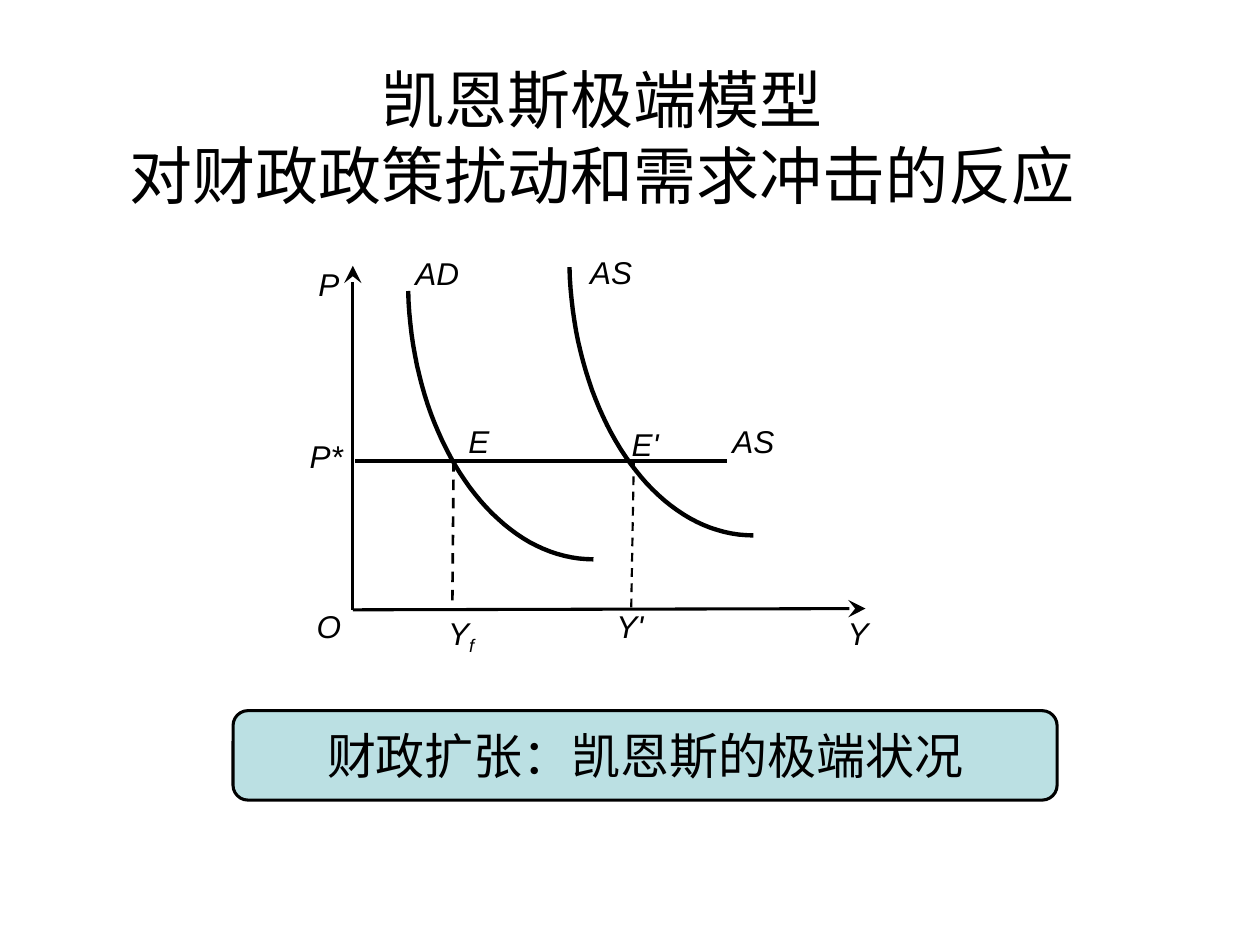
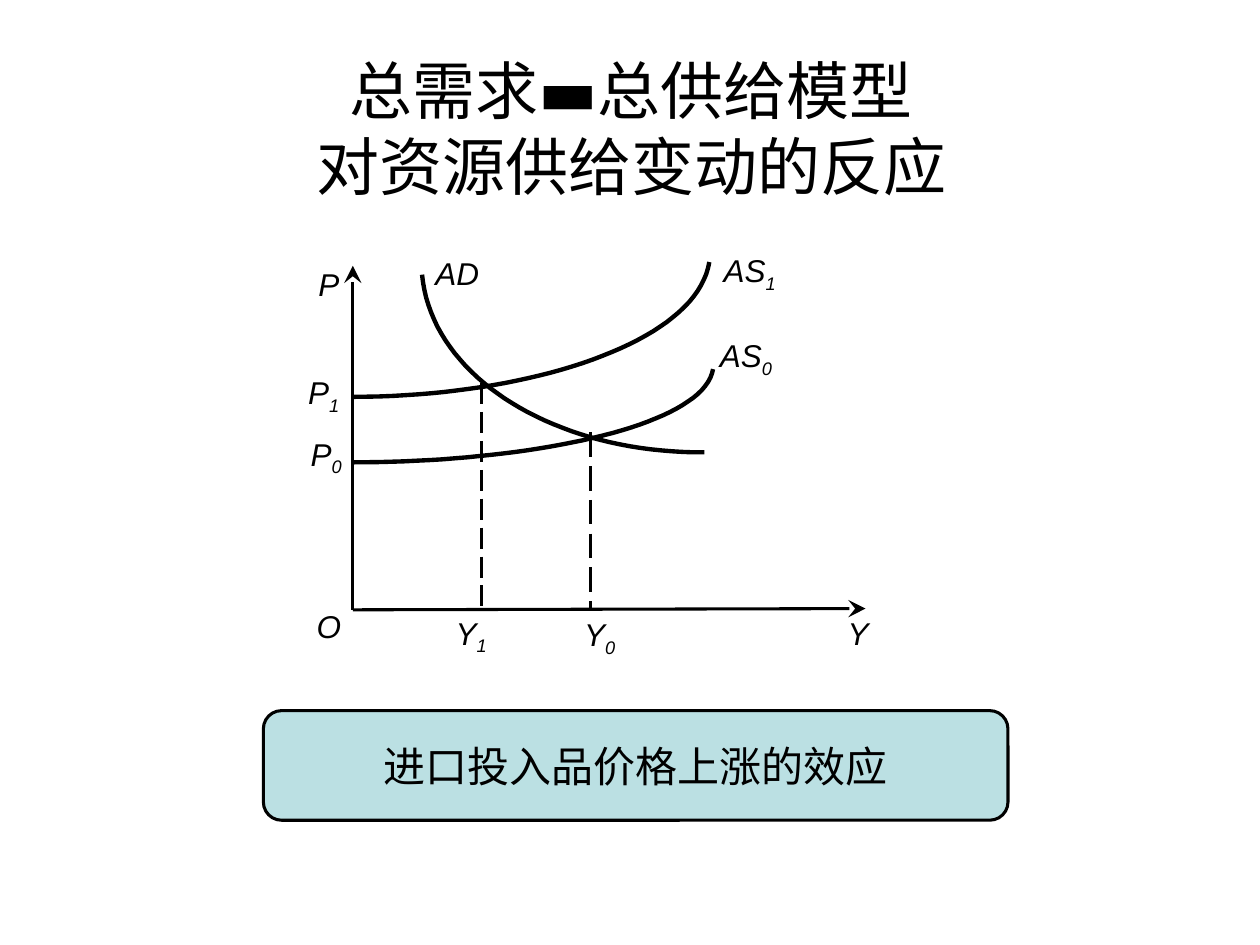
from lxml import etree
from pptx import Presentation
from pptx.dml.color import RGBColor
from pptx.enum.dml import MSO_LINE
from pptx.enum.shapes import MSO_CONNECTOR, MSO_SHAPE
from pptx.enum.text import MSO_ANCHOR, PP_ALIGN
from pptx.oxml.ns import qn
from pptx.util import Inches, Pt

STRAIGHT = MSO_CONNECTOR.STRAIGHT
ROUNDED = MSO_SHAPE.ROUNDED_RECTANGLE
DASH = MSO_LINE.DASH
LONG_DASH = MSO_LINE.LONG_DASH
CENTER = PP_ALIGN.CENTER
MIDDLE = MSO_ANCHOR.MIDDLE

FONT = "Arial"
BLACK = "000000"
CAPTION_FILL = "BBE0E3"
AXIS_WIDTH = 1.75
CURVE_WIDTH = 2.5
CURVE_STEPS = 40
UNITS_PER_INCH = 1000
ORIGIN = (2.8, 4.84)
LABEL_SIZE = (0.42, 0.38)
TITLE_SIZE = (9, 1.3)


def color(hex_value):
    return RGBColor.from_string(hex_value)


def add_span(para, text, size, italic=False, subscript=False):
    span = para.add_run()
    span.text = text
    span.font.name = FONT
    span.font.size = Pt(size)
    span.font.italic = italic
    span.font.color.rgb = color(BLACK)
    if subscript:
        span.font._element.set("baseline", "-25000")


def write_text(box, text, size=18, italic=False, subscript="", wrap=True):
    frame = box.text_frame
    frame.word_wrap = wrap
    frame.vertical_anchor = MIDDLE
    para = frame.paragraphs[0]
    para.alignment = CENTER
    for number, line in enumerate(text.split("\n")):
        if number:
            para.add_line_break()
        add_span(para, line, size, italic)
    if subscript:
        add_span(para, subscript, size, italic, subscript=True)


def style_line(shape, width):
    shape.line.color.rgb = color(BLACK)
    shape.line.width = Pt(width)


def add_title(slide, text, left, top):
    width, height = TITLE_SIZE
    box = slide.shapes.add_textbox(Inches(left), Inches(top), Inches(width), Inches(height))
    write_text(box, text, size=36)


def add_rounded_box(shapes, left, top, width, height):
    box = shapes.add_shape(ROUNDED, Inches(left), Inches(top), Inches(width), Inches(height))
    box.shadow.inherit = False
    return box


def add_caption(slide, text, left, width, height, size):
    box = add_rounded_box(slide.shapes, left, 5.64, width, height)
    box.fill.solid()
    box.fill.fore_color.rgb = color(CAPTION_FILL)
    style_line(box, AXIS_WIDTH)
    write_text(box, text, size=size, wrap=False)


def add_label(graph, center_x, center_y, text, subscript=""):
    width, height = LABEL_SIZE
    box = add_rounded_box(graph, center_x - width / 2, center_y - height / 2, width, height)
    box.fill.background()
    box.line.fill.background()
    write_text(box, text, italic=True, subscript=subscript, wrap=False)


def add_line(graph, start, end, width, dash=None, arrow=False):
    line = graph.add_connector(STRAIGHT, *[Inches(value) for value in (*start, *end)])
    style_line(line, width)
    if dash:
        line.line.dash_style = dash
    if arrow:
        outline = line.line._get_or_add_ln()
        etree.SubElement(outline, qn("a:tailEnd"), type="stealth", w="lg", len="lg")
    etree.SubElement(line._element.spPr, qn("a:effectLst"))


def bezier_point(controls, t):
    weights = ((1 - t) ** 3, 3 * t * (1 - t) ** 2, 3 * t**2 * (1 - t), t**3)
    return tuple(
        UNITS_PER_INCH * sum(weight * point[axis] for weight, point in zip(weights, controls))
        for axis in (0, 1)
    )


def add_curve(graph, *controls):
    points = [bezier_point(controls, step / CURVE_STEPS) for step in range(CURVE_STEPS + 1)]
    builder = graph.build_freeform(*points[0], scale=Inches(1) / UNITS_PER_INCH)
    builder.add_line_segments(points[1:], close=False)
    curve = builder.convert_to_shape()
    curve.shadow.inherit = False
    curve.fill.background()
    style_line(curve, CURVE_WIDTH)


def add_graph(slide):
    graph = slide.shapes.add_group_shape().shapes
    for tip in ((6.87, 4.83), (2.8, 2.11)):
        add_line(graph, ORIGIN, tip, AXIS_WIDTH, arrow=True)
    add_label(graph, 2.61, 4.97, "O")
    add_label(graph, 2.61, 2.25, "P")
    add_label(graph, 6.81, 5.02, "Y")
    return graph


def add_labels(graph, labels):
    for label in labels:
        add_label(graph, *label)


def build_fiscal_slide(slide):
    add_title(slide, "凯恩斯极端模型\n对财政政策扰动和需求冲击的反应", 0.28, 0.43)
    graph = add_graph(slide)
    add_line(graph, (5.03, 3.66), (5.01, 4.83), 1.25, dash=DASH)
    add_line(graph, (3.6, 3.66), (3.59, 4.84), 1.5, dash=DASH)
    add_line(graph, (2.82, 3.66), (5.77, 3.66), 2)
    add_curve(graph, (5.98, 4.25), (5.19, 4.25), (4.55, 3.29), (4.52, 2.12))
    add_curve(graph, (4.71, 4.44), (3.92, 4.44), (3.27, 3.48), (3.24, 2.31))
    add_labels(graph, [
        (3.47, 2.17, "AD"),
        (4.85, 2.16, "AS"),
        (5.98, 3.5, "AS"),
        (3.8, 3.5, "E"),
        (5.12, 3.52, "E'"),
        (2.59, 3.62, "P*"),
        (3.66, 5.04, "Y", "f"),
        (5, 4.97, "Y'"),
    ])
    add_caption(slide, "财政扩张：凯恩斯的极端状况", 1.85, 6.54, 0.71, 28)


def build_resource_slide(slide):
    add_title(slide, "总需求▬总供给模型\n对资源供给变动的反应", 0.51, 0.36)
    graph = add_graph(slide)
    add_line(graph, (4.69, 3.43), (4.69, 4.85), 1.75, dash=LONG_DASH)
    add_line(graph, (3.82, 3.04), (3.82, 4.86), 1.5, dash=LONG_DASH)
    add_curve(graph, (2.8, 3.15), (4.2, 3.15), (5.53, 2.72), (5.63, 2.08))
    add_curve(graph, (2.8, 3.67), (4.15, 3.67), (5.58, 3.4), (5.66, 2.93))
    add_curve(graph, (5.59, 3.59), (4.43, 3.6), (3.43, 3.01), (3.35, 2.18))
    add_labels(graph, [
        (3.63, 2.17, "AD"),
        (5.95, 2.16, "AS", "1"),
        (5.92, 2.84, "AS", "0"),
        (2.57, 3.13, "P", "1"),
        (2.59, 3.62, "P", "0"),
        (3.74, 5.04, "Y", "1"),
        (4.76, 5.05, "Y", "0"),
    ])
    add_caption(slide, "进口投入品价格上涨的效应", 2.09, 5.91, 0.87, 24)


def main():
    deck = Presentation()
    deck.slide_width = Inches(10)
    deck.slide_height = Inches(7.5)
    blank = deck.slide_layouts[6]
    for build_slide in (build_fiscal_slide, build_resource_slide):
        build_slide(deck.slides.add_slide(blank))
    deck.save("out.pptx")


if __name__ == "__main__":
    main()
